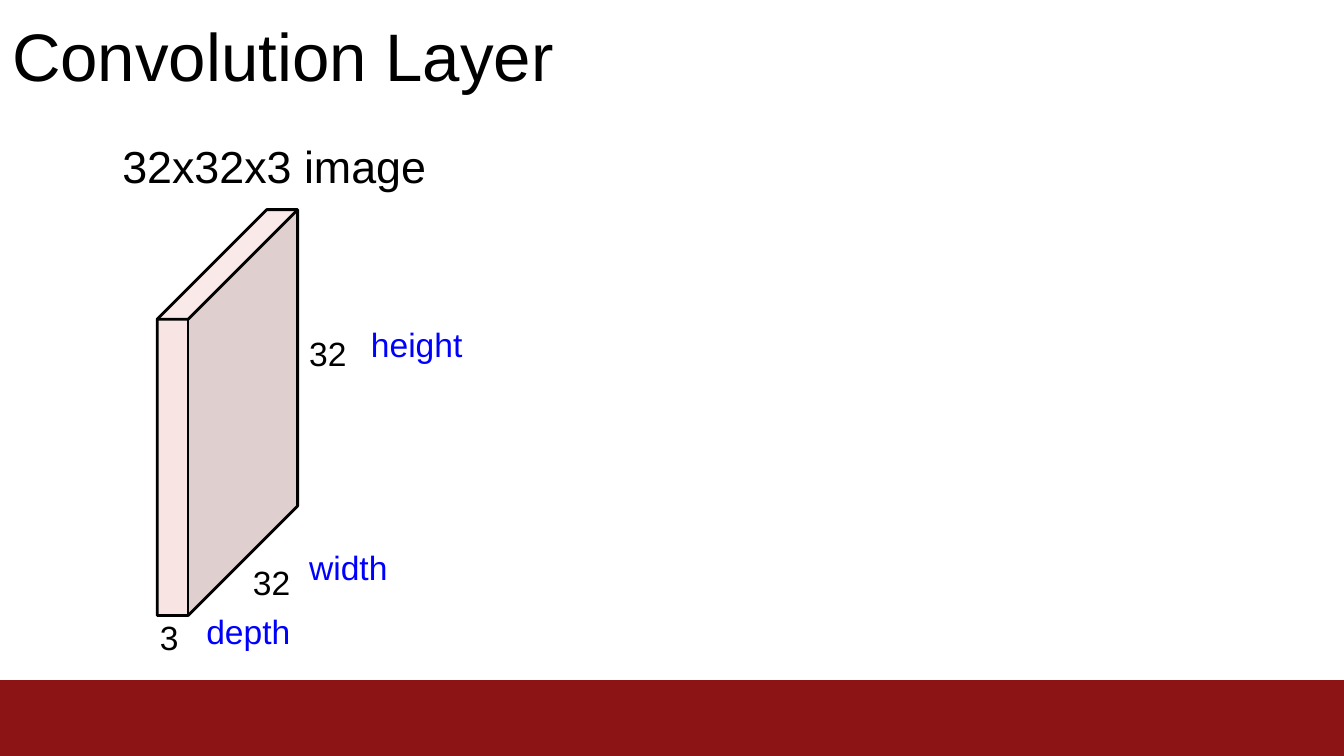
import dataclasses

import lxml.etree
import pptx
import pptx.dml.color
import pptx.enum.text
import pptx.oxml.ns
import pptx.util

COLUMNS = 100
CELL = pptx.util.Inches(10) // COLUMNS
ROWS = 56.25


@dataclasses.dataclass(frozen=True)
class Theme:
    font: str = "Arial"
    title_size: int = 36
    caption_size: int = 24
    label_size: int = 18
    ink: str = "000000"
    accent: str = "0000FF"
    band: str = "8C1414"
    front: str = "F4CCCC"
    side: str = "C3A3A3"
    top: str = "F6D6D6"
    opacity: int = 52
    outline_width: float = 1.5


THEME = Theme()


@dataclasses.dataclass(frozen=True)
class Box:
    left: float
    top: float
    width: float
    height: float

    def offset(self, left, top, width, height):
        return Box(self.left + left, self.top + top, width, height)

    def point(self, across, down):
        return (
            round((self.left + across * self.width) * CELL),
            round((self.top + down * self.height) * CELL),
        )

    def extent(self):
        return [round(length * CELL) for length in dataclasses.astuple(self)]


def color(value):
    return pptx.dml.color.RGBColor.from_string(value)


def add_text(slide, box, lines, size, inset=0.2, alignment=pptx.enum.text.PP_ALIGN.LEFT):
    frame = slide.shapes.add_textbox(*box.extent()).text_frame
    frame.word_wrap = True
    frame.margin_left = round(0.1 * CELL)
    frame.margin_right = frame.margin_bottom = 0
    frame.margin_top = round(inset * CELL)
    for index, (text, ink) in enumerate(lines):
        paragraph = frame.add_paragraph() if index else frame.paragraphs[0]
        paragraph.text = text
        paragraph.alignment = alignment
        if index:
            paragraph.space_before = pptx.util.Pt(5)
        paragraph.font.name = THEME.font
        paragraph.font.size = pptx.util.Pt(size)
        paragraph.font.color.rgb = color(ink)


def add_path(shapes, box, contours, closed, fill=None):
    builder = None
    for contour in contours:
        start, *rest = [box.point(*corner) for corner in contour]
        if builder is None:
            builder = shapes.build_freeform(*start)
        else:
            builder.move_to(*start)
        builder.add_line_segments(rest, close=closed)
    shape = builder.convert_to_shape()
    shape.shadow.inherit = False
    if fill:
        shape.fill.solid()
        shape.fill.fore_color.rgb = color(fill)
        shape.line.fill.background()
        target = shape.fill._xPr.find(".//" + pptx.oxml.ns.qn("a:srgbClr"))
        alpha = lxml.etree.SubElement(target, pptx.oxml.ns.qn("a:alpha"))
        alpha.set("val", str(THEME.opacity * 1000))
    else:
        shape.fill.background()
        shape.line.color.rgb = color(THEME.ink)
        shape.line.width = pptx.util.Pt(THEME.outline_width)


def draw_footer(slide, box):
    band = slide.shapes.add_shape(pptx.enum.shapes.MSO_SHAPE.RECTANGLE, *box.extent())
    band.shadow.inherit = False
    band.fill.solid()
    band.fill.fore_color.rgb = color(THEME.band)
    band.line.fill.background()


def draw_title(slide, box):
    add_text(slide, box, [("Convolution Layer", THEME.ink)], THEME.title_size, inset=0.5)


def draw_cuboid(slide, box, thickness=0.22, rise=0.27):
    front_top, front_bottom = (thickness, rise), (thickness, 1)
    left_top, left_bottom = (0, rise), (0, 1)
    back_left, back_right = (1 - thickness, 0), (1, 0)
    back_bottom = (1, 1 - rise)
    faces = [
        ([left_top, front_top, front_bottom, left_bottom], THEME.front),
        ([front_top, back_right, back_bottom, front_bottom], THEME.side),
        ([left_top, back_left, back_right, front_top], THEME.top),
    ]
    shapes = slide.shapes.add_group_shape().shapes
    for corners, fill in faces:
        add_path(shapes, box, [corners], True, fill)
    silhouette = [left_top, back_left, back_right, back_bottom,
                  front_bottom, left_bottom, left_top]
    edges = [silhouette, [left_top, front_top, back_right], [front_top, front_bottom]]
    add_path(shapes, box, edges, False)


def draw_volume(slide, box):
    draw_cuboid(slide, box)
    add_text(slide, box.offset(-2.7, -5.7, 22.9, 4.3),
             [("32x32x3 image", THEME.ink)], THEME.caption_size, inset=0.4)
    labels = [
        ("32", THEME.ink, 11.2, 9, 3.1),
        ("height", THEME.accent, 15.8, 8.3, 7.1),
        ("width", THEME.accent, 11.2, 24.9, 6.1),
        ("3", THEME.ink, 0.1, 30.1, 1.7),
    ]
    for text, ink, left, top, width in labels:
        add_text(slide, box.offset(left, top, width, 3.3), [(text, ink)], THEME.label_size)
    add_text(slide, box.offset(3.4, 25.2, 6.5, 7.6),
             [("32", THEME.ink), ("depth", THEME.accent)], THEME.label_size,
             inset=1, alignment=pptx.enum.text.PP_ALIGN.RIGHT)


def main():
    presentation = pptx.Presentation()
    presentation.slide_width = COLUMNS * CELL
    presentation.slide_height = round(ROWS * CELL)
    slide = presentation.slides.add_slide(presentation.slide_layouts[6])
    draw_footer(slide, Box(0, 50.6, COLUMNS, ROWS - 50.6))
    draw_title(slide, Box(0.8, 0.6, 40.6, 6.3))
    draw_volume(slide, Box(11.7, 15.6, 10.45, 30.2))
    presentation.save("out.pptx")


if __name__ == "__main__":
    main()
